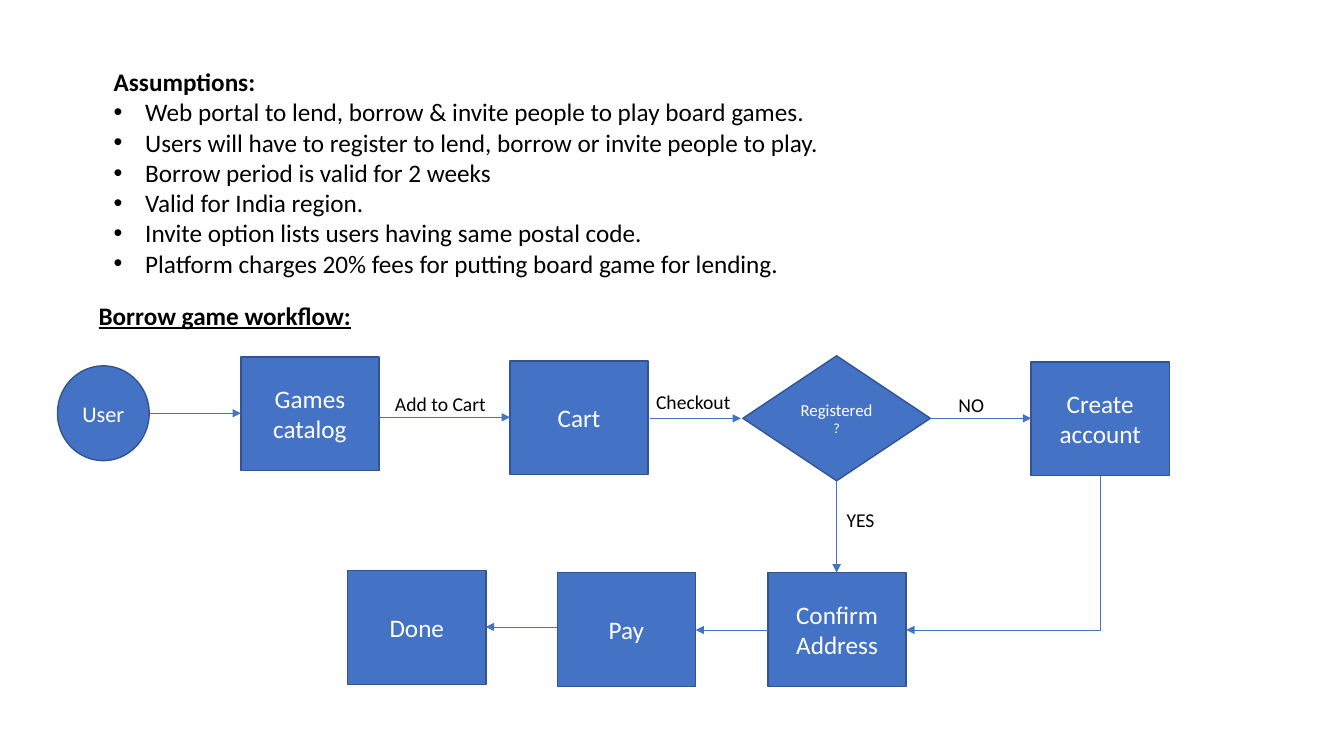
"""Build the board game assumptions and borrowing workflow slide."""
from pptx import Presentation
from pptx import util as u
from pptx.dml.color import RGBColor
from pptx.enum import shapes, text
from pptx.oxml.ns import qn
from lxml import etree

COLOURS = {"fill": "4472C4", "edge": "325491", "ink": "000000", "paper": "FFFFFF"}
PX = 9144
KIND = shapes.MSO_SHAPE


class Sheet:
    """Hold the slide and its style, and draw each kind of element."""

    font = "Calibri"

    def __init__(self, page):
        self.page = page

    def colour(self, name):
        return RGBColor.from_string(COLOURS[name])

    def lengths(self, *values):
        return [u.Emu(value * PX) for value in values]

    def style(self, span, size, colour, bold=False, underline=False):
        span.font.name = self.font
        span.font.size = u.Pt(size)
        span.font.color.rgb = self.colour(colour)
        span.font.bold = bold
        span.font.underline = underline

    def label(self, at, words, size=14, **look):
        box = self.page.shapes.add_textbox(*self.lengths(*at))
        frame = box.text_frame
        frame.word_wrap = True
        frame.auto_size = text.MSO_AUTO_SIZE.SHAPE_TO_FIT_TEXT
        frame.text = words
        self.style(frame.paragraphs[0].runs[0], size, "ink", **look)
        return frame

    def bullet(self, frame, words, size=18):
        para = frame.add_paragraph()
        para.text = words
        self.style(para.runs[0], size, "ink")
        props = para._p.get_or_add_pPr()
        props.set("marL", "285750")
        props.set("indent", "-285750")
        etree.SubElement(props, qn("a:buFont")).set("typeface", "Arial")
        etree.SubElement(props, qn("a:buChar")).set("char", "•")

    def step(self, at, words, size=18, kind=KIND.FLOWCHART_PROCESS):
        box = self.page.shapes.add_shape(kind, *self.lengths(*at))
        box.shadow.inherit = False
        box.fill.solid()
        box.fill.fore_color.rgb = self.colour("fill")
        box.line.color.rgb = self.colour("edge")
        box.line.width = u.Pt(1)
        frame = box.text_frame
        frame.word_wrap = True
        frame.vertical_anchor = text.MSO_ANCHOR.MIDDLE
        frame.text = words
        para = frame.paragraphs[0]
        para.alignment = text.PP_ALIGN.CENTER
        self.style(para.runs[0], size, "paper")
        return para

    def arrow(self, *ends, kind=shapes.MSO_CONNECTOR.STRAIGHT):
        line = self.page.shapes.add_connector(kind, *self.lengths(*ends))
        line.line.color.rgb = self.colour("fill")
        line.line.width = u.Pt(0.5)
        props = line._element.spPr
        etree.SubElement(props.find(qn("a:ln")), qn("a:tailEnd")).set("type", "triangle")
        etree.SubElement(props, qn("a:effectLst"))
        return props

    def corner_arrow(self, x1, y1, x2, y2):
        """Draw an arrow that runs down from the start, then left to the end."""
        wide, high = x1 - x2, y2 - y1
        left = (x1 + x2 - high) // 2
        top = (y1 + y2 - wide) // 2
        props = self.arrow(left, top, left + high, top + wide, kind=shapes.MSO_CONNECTOR.ELBOW)
        props.find(qn("a:xfrm")).set("rot", "5400000")
        props.find(qn("a:prstGeom")).set("prst", "bentConnector2")


def main():
    deck = Presentation()
    deck.slide_width, deck.slide_height = u.Emu(12192000), u.Emu(750 * PX)
    sheet = Sheet(deck.slides.add_slide(deck.slide_layouts[6]))

    assumptions = sheet.label((103, 61, 884, 222), "Assumptions:", 18, bold=True)
    for words in (
        "Web portal to lend, borrow & invite people to play board games.",
        "Users will have to register to lend, borrow or invite people to play.",
        "Borrow period is valid for 2 weeks",
        "Valid for India region.",
        "Invite option lists users having same postal code.",
        "Platform charges 20% fees for putting board game for lending.",
    ):
        sheet.bullet(assumptions, words)
    sheet.label((88, 293, 324, 40), "Borrow game workflow:", 18, bold=True, underline=True)

    sheet.step((57, 363, 91, 94), "User", 16, KIND.FLOWCHART_CONNECTOR)
    for left, top, words in (
        (239, 354, "Games catalog"),
        (506, 358, "Cart"),
        (1023, 359, "Create account"),
        (762, 568, "Confirm Address"),
        (553, 568, "Pay"),
        (345, 566, "Done"),
    ):
        sheet.step((left, top, 137, 113), words)
    question = sheet.step((737, 353, 186, 124), "Registered", 12, KIND.FLOWCHART_DECISION)
    mark = question.add_run()
    mark.text = " ?"
    sheet.style(mark, 10, "paper")

    for ends in (
        (149, 410, 239, 410),
        (376, 414, 506, 414),
        (645, 415, 735, 415),
        (923, 415, 1023, 415),
        (830, 477, 830, 568),
        (762, 625, 690, 625),
        (553, 622, 482, 622),
    ):
        sheet.arrow(*ends)
    sheet.corner_arrow(1092, 472, 899, 625)

    for left, top, width, words in (
        (382, 384, 118, "Add to Cart"),
        (641, 382, 99, "Checkout"),
        (941, 385, 64, "NO"),
        (830, 499, 57, "YES"),
    ):
        sheet.label((left, top, width, 34), words)

    deck.save("out.pptx")


if __name__ == "__main__":
    main()
